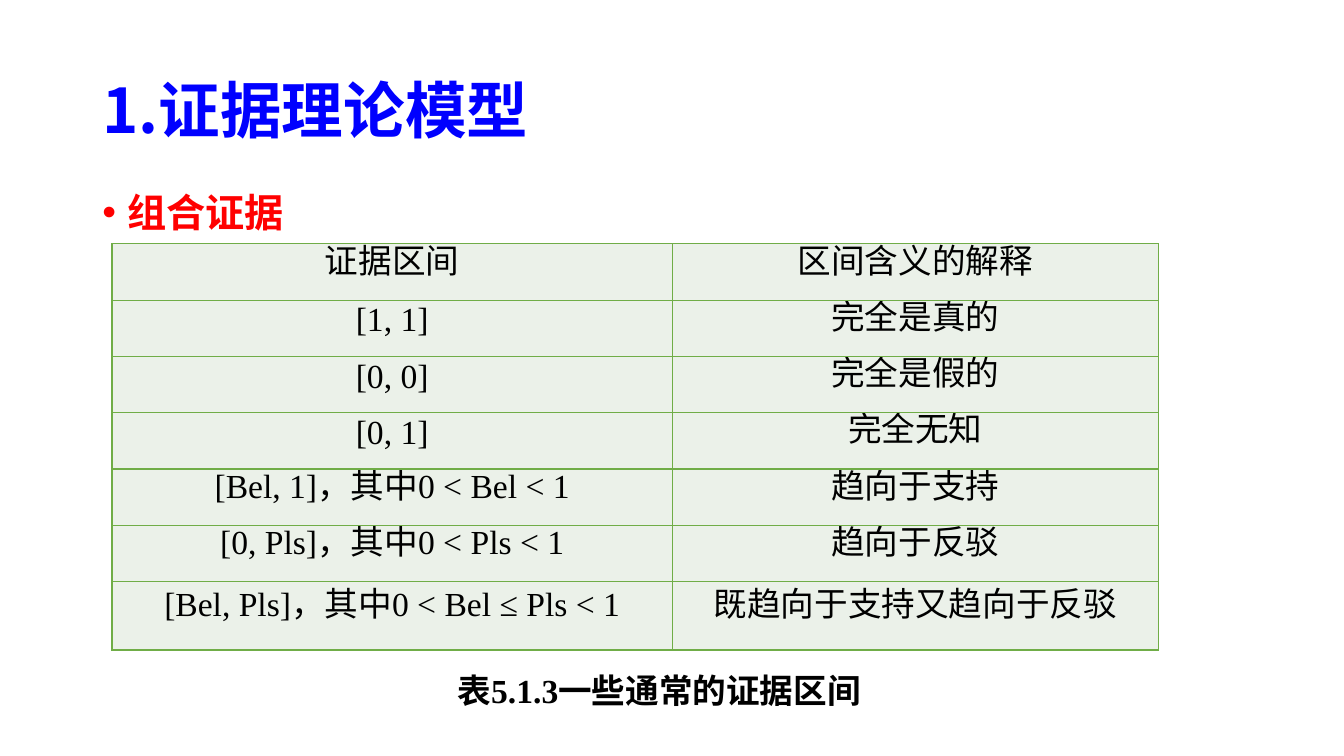
import pptx
import pptx.dml.color
import pptx.enum.text
import pptx.oxml
import pptx.oxml.ns
import pptx.util

Pt = pptx.util.Pt
ALIGN = pptx.enum.text.PP_ALIGN
MIDDLE = pptx.enum.text.MSO_ANCHOR.MIDDLE
TOP = pptx.enum.text.MSO_ANCHOR.TOP
SANS, SERIF = "Noto Sans CJK SC", "Times New Roman"
BLUE, RED, BLACK = "0000FF", "FF0000", "000000"
CELL_FILL, CELL_BORDER = "EBF1E9", "70AD47"

TITLE = "1.证据理论模型"
TOPIC = "组合证据"
CAPTION = "表5.1.3一些通常的证据区间"
INTERVALS = [
    ("证据区间", "区间含义的解释"),
    ("[1, 1]", "完全是真的"),
    ("[0, 0]", "完全是假的"),
    ("[0, 1]", "完全无知"),
    ("[Bel, 1]，其中0 < Bel < 1", "趋向于支持"),
    ("[0, Pls]，其中0 < Pls < 1", "趋向于反驳"),
    ("[Bel, Pls]，其中0 < Bel ≤ Pls < 1", "既趋向于支持又趋向于反驳"),
]
COLUMN_WIDTHS = (400.3, 347)
ROW_HEIGHT, LAST_ROW_HEIGHT = 40.2, 49


def color(value):
    return pptx.dml.color.RGBColor.from_string(value)


def xml(text):
    namespace = pptx.oxml.ns.nsdecls("a")
    return pptx.oxml.parse_xml(text.replace(">", f" {namespace}>", 1))


def write(frame, text, size=24, font=SERIF, fill=BLACK, bold=False,
          align=ALIGN.CENTER, spacing=1.0):
    paragraph = frame.paragraphs[0]
    paragraph.alignment = align
    paragraph.line_spacing = spacing
    run = paragraph.add_run()
    run.text = text
    run.font.size = Pt(size)
    run.font.name = font
    run.font.bold = bold
    run.font.color.rgb = color(fill)
    latin = run.font._element.find(pptx.oxml.ns.qn("a:latin"))
    latin.addnext(xml(f'<a:ea typeface="{SANS}"></a:ea>'))
    return paragraph


def add_text(slide, text, box, anchor=MIDDLE, **style):
    frame = slide.shapes.add_textbox(*map(Pt, box)).text_frame
    frame.word_wrap = True
    frame.vertical_anchor = anchor
    return write(frame, text, **style)


def add_bullet(paragraph):
    paragraph.space_before = Pt(6)
    properties = paragraph._p.get_or_add_pPr()
    properties.set("marL", str(Pt(18)))
    properties.set("indent", str(-Pt(18)))
    properties.append(xml('<a:buFont typeface="Arial"></a:buFont>'))
    properties.append(xml('<a:buChar char="•"></a:buChar>'))


def format_cell(cell, text):
    cell.margin_left = cell.margin_right = Pt(5)
    cell.margin_top = cell.margin_bottom = 0
    cell.vertical_anchor = MIDDLE
    cell.fill.solid()
    cell.fill.fore_color.rgb = color(CELL_FILL)
    properties = cell._tc.get_or_add_tcPr()
    for index, side in enumerate("LRTB"):
        properties.insert(index, xml(
            f'<a:ln{side} w="{Pt(1)}"><a:solidFill><a:srgbClr val="{CELL_BORDER}"/>'
            f'</a:solidFill></a:ln{side}>'))
    write(cell.text_frame, text, spacing=Pt(15.6))


def add_intervals(slide):
    heights = [ROW_HEIGHT] * (len(INTERVALS) - 1) + [LAST_ROW_HEIGHT]
    box = (80, 174.2, sum(COLUMN_WIDTHS), sum(heights))
    table = slide.shapes.add_table(
        len(heights), len(COLUMN_WIDTHS), *map(Pt, box)).table
    for column, width in zip(table.columns, COLUMN_WIDTHS):
        column.width = Pt(width)
    for row, height, texts in zip(table.rows, heights, INTERVALS):
        row.height = Pt(height)
        for cell, text in zip(row.cells, texts):
            format_cell(cell, text)


def main():
    presentation = pptx.Presentation()
    presentation.slide_width, presentation.slide_height = Pt(960), Pt(540)
    slide = presentation.slides.add_slide(presentation.slide_layouts[6])
    add_text(slide, TITLE, (66, 28.8, 828, 104.4), size=44, font=SANS,
             fill=BLUE, bold=True, align=ALIGN.LEFT, spacing=0.9)
    topic = add_text(slide, TOPIC, (66, 114.5, 870, 425.5), anchor=TOP, size=28,
                     font=SANS, fill=RED, bold=True, align=ALIGN.JUSTIFY, spacing=1.5)
    add_bullet(topic)
    add_intervals(slide)
    add_text(slide, CAPTION, (317.5, 475.2, 306.7, 36), bold=True)
    presentation.save("out.pptx")


if __name__ == "__main__":
    main()
